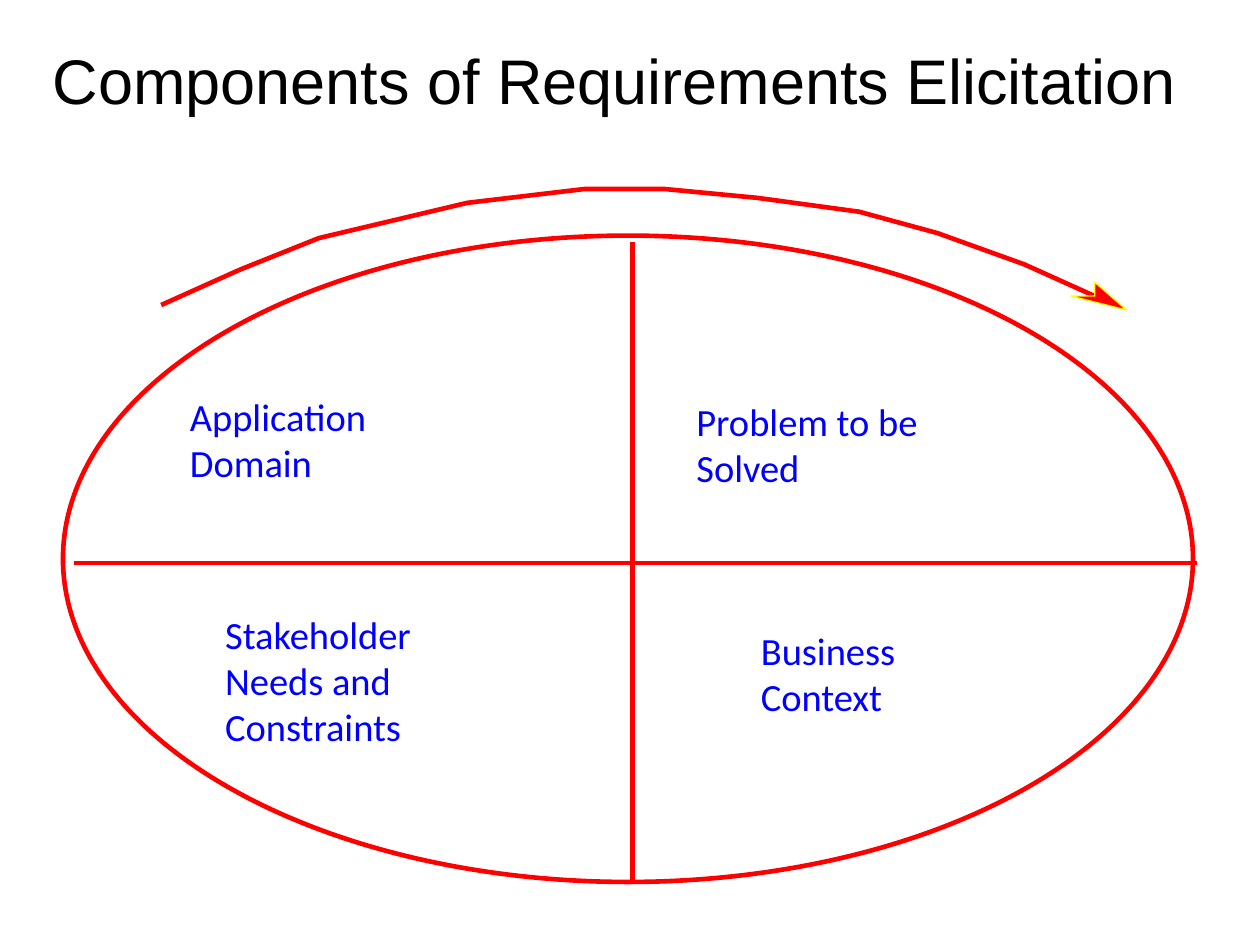
from dataclasses import dataclass

from pptx import Presentation
from pptx.dml.color import RGBColor
from pptx.enum.shapes import MSO_CONNECTOR, MSO_SHAPE
from pptx.enum.text import MSO_ANCHOR, MSO_AUTO_SIZE, PP_ALIGN
from pptx.oxml.ns import qn
from pptx.shapes.autoshape import Shape
from pptx.slide import Slide
from pptx.util import Cm, Pt
from lxml.etree import SubElement


@dataclass(frozen=True)
class Theme:
    title_color: RGBColor = RGBColor(0x00, 0x00, 0x00)
    label_color: RGBColor = RGBColor(0x00, 0x00, 0xFF)
    stroke: RGBColor = RGBColor(0xFF, 0x00, 0x00)
    arrow_outline: RGBColor = RGBColor(0xFF, 0xFF, 0x00)
    title_font: str = "Arial"
    label_font: str = "Calibri"
    title_size: Pt = Pt(36)
    label_size: Pt = Pt(22)
    stroke_width: Pt = Pt(2.63)
    arrow_width: Pt = Pt(0.75)


@dataclass(frozen=True)
class Label:
    lines: tuple[str, ...]
    left: float
    top: float
    width: float
    height: float


@dataclass(frozen=True)
class Divider:
    start: tuple[float, float]
    end: tuple[float, float]


THEME = Theme()
LABELS = (
    Label(("Business", "Context"), 15.09, 12.52, 3.25, 2.13),
    Label(("Stakeholder", "Needs and", "Constraints"), 4.29, 12.19, 4.29, 3.07),
    Label(("Application", "Domain"), 3.58, 7.8, 4.09, 2.13),
    Label(("Problem to be", "Solved"), 13.79, 7.9, 5.03, 2.13),
)
DIVIDERS = (
    Divider((12.75, 4.88), (12.75, 17.73)),
    Divider((1.5, 11.35), (24.13, 11.35)),
)
ARC = (
    (3.25, 6.15), (4.83, 5.44), (6.43, 4.8), (9.42, 4.09), (11.79, 3.81), (13.39, 3.81),
    (15.27, 3.99), (17.32, 4.27), (18.9, 4.7), (20.65, 5.33), (22.07, 5.97),
)
ARROWHEAD = (ARC[-1], (22.07, 5.69), (22.71, 6.25), (21.59, 5.97))


def apply_format(target: object, values: dict[str, object]) -> None:
    for name, value in values.items():
        setattr(target, name, value)


def format_line(shape: object, color: RGBColor, width: Pt) -> None:
    shape.line.color.rgb = color
    shape.line.width = width


def add_title(slide: Slide, text: str) -> None:
    title = slide.shapes.title
    apply_format(title, {"left": Cm(0.64), "top": Cm(0), "width": Cm(23.5), "height": Cm(3.18)})
    apply_format(title.text_frame, {
        "text": text, "word_wrap": True,
        "vertical_anchor": MSO_ANCHOR.MIDDLE, "auto_size": MSO_AUTO_SIZE.NONE,
    })
    paragraph = title.text_frame.paragraphs[0]
    paragraph.alignment = PP_ALIGN.CENTER
    font = paragraph.runs[0].font
    apply_format(font, {"name": THEME.title_font, "size": THEME.title_size})
    font.color.rgb = THEME.title_color


def add_ellipse(slide: Slide) -> None:
    ellipse = slide.shapes.add_shape(MSO_SHAPE.OVAL, Cm(1.27), Cm(4.75), Cm(22.78), Cm(13.03))
    ellipse.shadow.inherit = False
    ellipse.fill.background()
    format_line(ellipse, THEME.stroke, THEME.stroke_width)


def add_divider(slide: Slide, divider: Divider) -> None:
    ends = (Cm(value) for value in divider.start + divider.end)
    connector = slide.shapes.add_connector(MSO_CONNECTOR.STRAIGHT, *ends)
    format_line(connector, THEME.stroke, THEME.stroke_width)
    SubElement(connector.element.spPr, qn("a:effectLst"))


def add_outline(slide: Slide, points: tuple[tuple[float, float], ...], close: bool) -> Shape:
    start, *rest = [(Cm(x), Cm(y)) for x, y in points]
    builder = slide.shapes.build_freeform(*start)
    builder.add_line_segments(rest, close=close)
    outline = builder.convert_to_shape()
    outline.shadow.inherit = False
    return outline


def add_curved_arrow(slide: Slide) -> None:
    arc = add_outline(slide, ARC, close=False)
    arc.fill.background()
    format_line(arc, THEME.stroke, THEME.stroke_width)
    arrowhead = add_outline(slide, ARROWHEAD, close=True)
    arrowhead.fill.solid()
    arrowhead.fill.fore_color.rgb = THEME.stroke
    format_line(arrowhead, THEME.arrow_outline, THEME.arrow_width)


def add_label(slide: Slide, label: Label) -> None:
    box = slide.shapes.add_textbox(
        Cm(label.left), Cm(label.top), Cm(label.width), Cm(label.height))
    apply_format(box.text_frame, {
        "text": "\n".join(label.lines), "word_wrap": False,
        "auto_size": MSO_AUTO_SIZE.SHAPE_TO_FIT_TEXT,
    })
    for paragraph in box.text_frame.paragraphs:
        paragraph.alignment = PP_ALIGN.LEFT
        font = paragraph.runs[0].font
        apply_format(font, {"name": THEME.label_font, "size": THEME.label_size})
        font.color.rgb = THEME.label_color


def main() -> None:
    presentation = Presentation()
    apply_format(presentation, {"slide_width": Cm(25.4), "slide_height": Cm(19.05)})
    slide = presentation.slides.add_slide(presentation.slide_layouts.get_by_name("Title Only"))
    add_title(slide, "Components of Requirements Elicitation")
    add_ellipse(slide)
    for divider in DIVIDERS:
        add_divider(slide, divider)
    add_curved_arrow(slide)
    for label in LABELS:
        add_label(slide, label)
    presentation.save("out.pptx")


if __name__ == "__main__":
    main()
